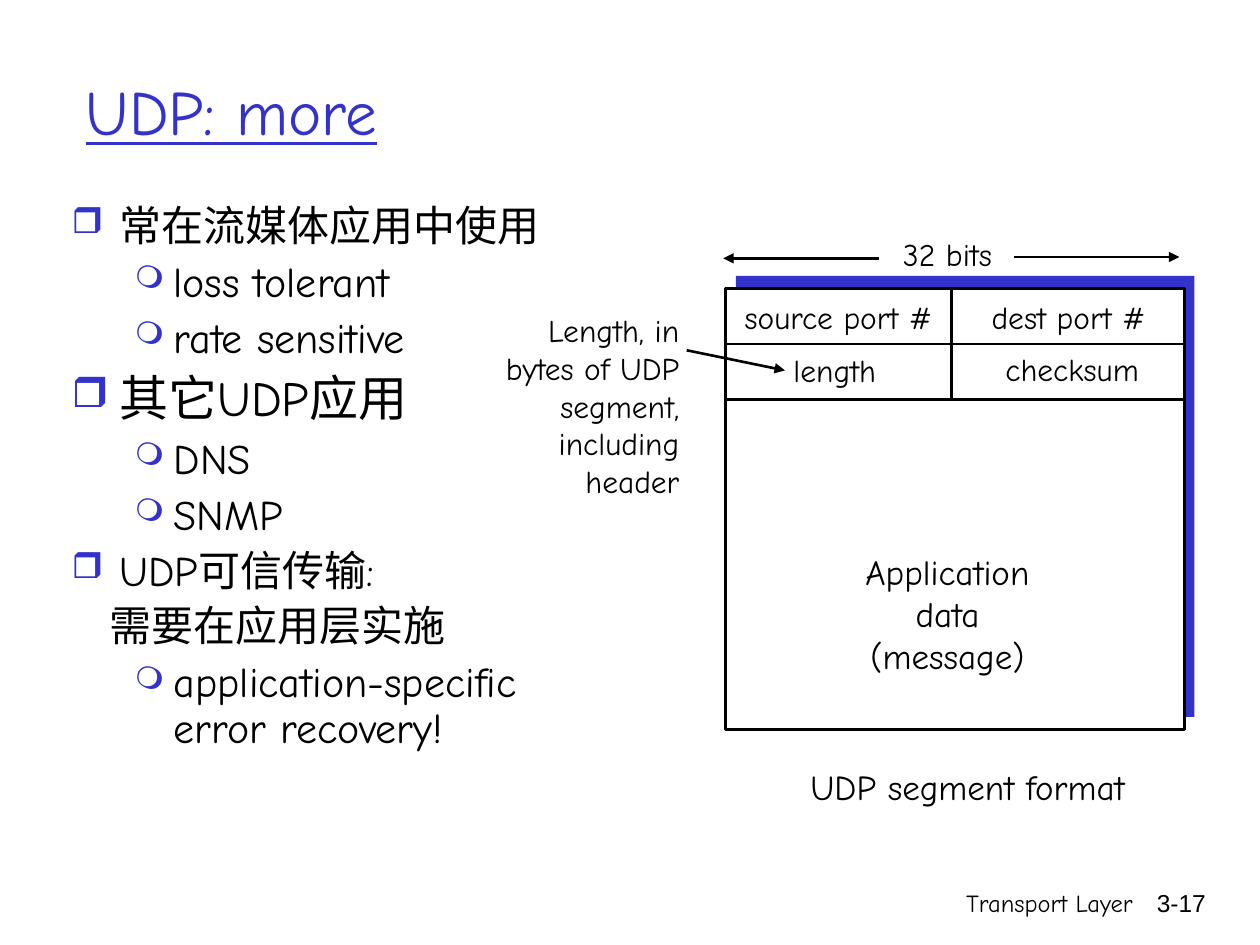
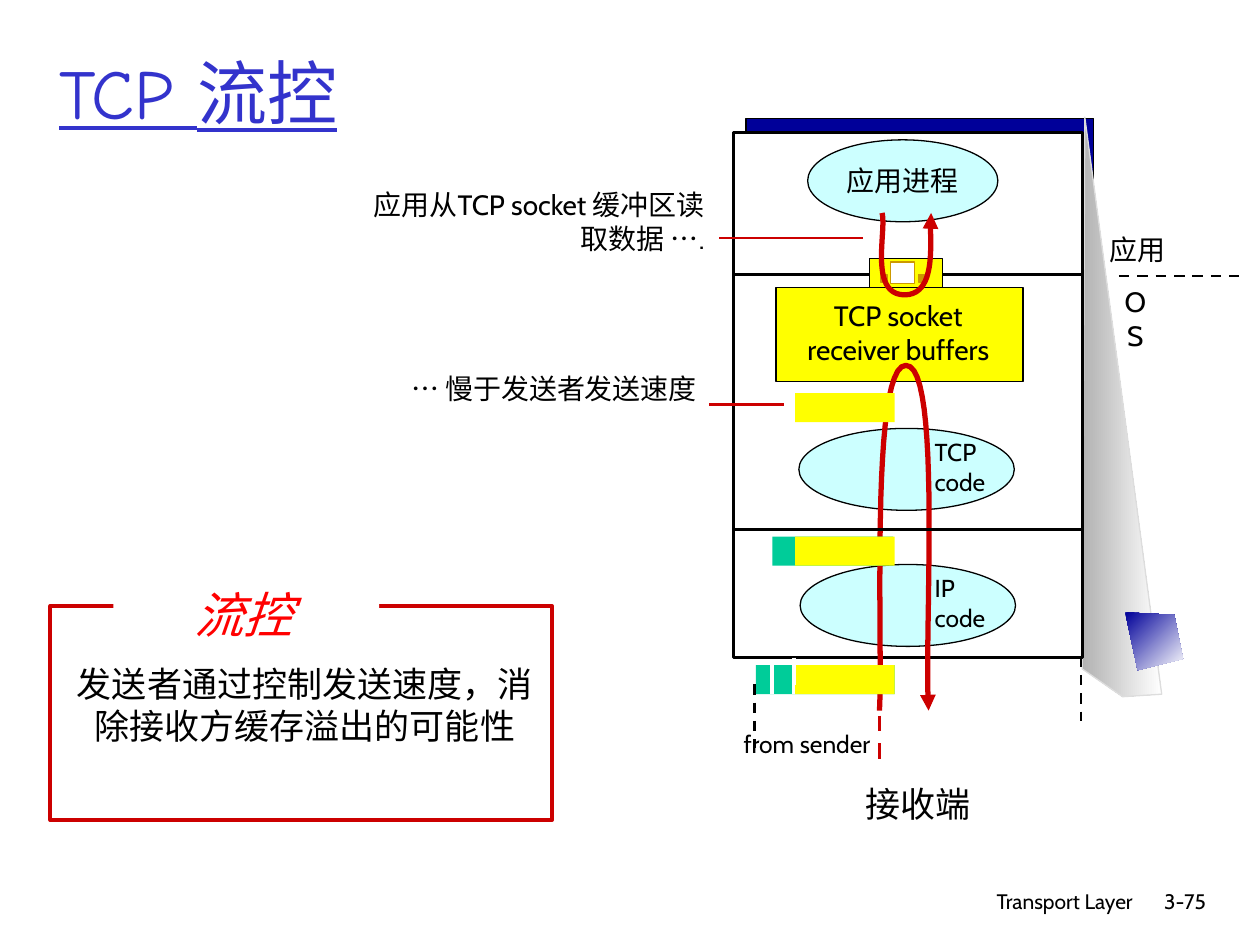
from lxml import etree
from pptx import Presentation
from pptx.dml.color import RGBColor
from pptx.enum.dml import MSO_LINE
from pptx.enum.shapes import MSO_CONNECTOR, MSO_SHAPE
from pptx.enum.text import MSO_ANCHOR, MSO_AUTO_SIZE, PP_ALIGN
from pptx.oxml.ns import qn
from pptx.util import Inches, Pt

# Shared look
BLUE, NAVY, RED, BLACK, WHITE = "3333CC", "000099", "CC0000", "000000", "FFFFFF"
YELLOW, GREEN, AQUA, GOLD = "FFFF00", "00CC99", "CCFFFF", "CC9900"
COMIC, CABIN, ARIAL = "Comic Neue", "Cabin", "Arial"
LEFT, CENTER, RIGHT = PP_ALIGN.LEFT, PP_ALIGN.CENTER, PP_ALIGN.RIGHT
RECT, OVAL = MSO_SHAPE.RECTANGLE, MSO_SHAPE.OVAL

# The slide is a grid of 100 columns by 75 rows
COLS, ROWS = 100, 75
WIDTH, HEIGHT = Inches(10), Inches(7.5)


def grid(*values):
    return [int(v * WIDTH / COLS) for v in values]


def rgb(value):
    return RGBColor.from_string(value)


def style_run(r, color=BLACK, **fmt):
    if "size" in fmt:
        fmt["size"] = Pt(fmt["size"])
    for name, value in fmt.items():
        setattr(r.font, name, value)
    r.font.color.rgb = rgb(color)


def write(tf, content, align=LEFT, **fmt):
    """Fill a text frame, one paragraph a line."""
    for i, line in enumerate(content.split("\n")):
        p = tf.paragraphs[0] if i == 0 else tf.add_paragraph()
        p.alignment = align
        r = p.add_run()
        r.text = line
        style_run(r, **fmt)


def add_text(s, box, content, wrap=False, **fmt):
    tf = s.shapes.add_textbox(*grid(*box)).text_frame
    tf.word_wrap = wrap
    tf.auto_size = MSO_AUTO_SIZE.NONE if wrap else MSO_AUTO_SIZE.SHAPE_TO_FIT_TEXT
    write(tf, content, **fmt)


def set_outline(shape, color, width, dash=False, arrow=False):
    shape.line.color.rgb = rgb(color)
    shape.line.width = Pt(width)
    if dash:
        shape.line.dash_style = MSO_LINE.DASH
    if arrow:
        ln = shape.element.spPr.find(qn("a:ln"))
        etree.SubElement(ln, qn("a:tailEnd"), type="triangle")


def add_block(s, kind, box, fill, line=None, width=0.75):
    shape = s.shapes.add_shape(kind, *grid(*box))
    shape.shadow.inherit = False
    shape.fill.solid()
    shape.fill.fore_color.rgb = rgb(fill)
    if line:
        set_outline(shape, line, width)
    else:
        shape.line.fill.background()
    return shape


def add_line(s, start, end, color=BLACK, width=1.5, **ends):
    line = s.shapes.add_connector(MSO_CONNECTOR.STRAIGHT, *grid(*start, *end))
    set_outline(line, color, width, **ends)
    etree.SubElement(line.element.spPr, qn("a:effectLst"))


def add_outline(s, points, close):
    points = [tuple(grid(*pt)) for pt in points]
    builder = s.shapes.build_freeform(*points[0])
    builder.add_line_segments(points[1:], close=close)
    shape = builder.convert_to_shape()
    shape.shadow.inherit = False
    return shape


def add_gradient(s, points, colors, angle, line=None):
    shape = add_outline(s, points, True)
    shape.fill.gradient()
    shape.fill.gradient_angle = angle
    for stop, color in zip(shape.fill.gradient_stops, colors):
        stop.color.rgb = rgb(color)
    if line:
        set_outline(shape, line, 0.75)
    else:
        shape.line.fill.background()


def add_flow(s, points, steps=24):
    """Red arrow along joined cubic curves: a start, then three points each."""
    path = [points[0]]
    for i in range(0, len(points) - 1, 3):
        a, b, c, d = points[i:i + 4]
        for n in range(1, steps + 1):
            t = n / steps
            weights = ((1 - t) ** 3, 3 * t * (1 - t) ** 2, 3 * t * t * (1 - t), t ** 3)
            path.append([sum(w * pt[k] for w, pt in zip(weights, (a, b, c, d)))
                         for k in (0, 1)])
    shape = add_outline(s, path, False)
    shape.fill.background()
    set_outline(shape, RED, 3, arrow=True)


def add_slide(prs, title, box, size, number, footer_fonts, footer_size):
    """Title-only slide with the shared title style and footer."""
    s = prs.slides.add_slide(prs.slide_layouts[5])
    sp = s.shapes.title
    sp.left, sp.top, sp.width, sp.height = grid(*box)
    tf = sp.text_frame
    tf.auto_size, tf.word_wrap = MSO_AUTO_SIZE.NONE, True
    tf.vertical_anchor = MSO_ANCHOR.MIDDLE
    write(tf, title, size=size, name=COMIC, color=BLUE, underline=True)
    footer = ((59.2, 31.7, "Transport Layer"), (89.3, 7.4, number))
    for (left, width, content), font in zip(footer, footer_fonts):
        add_text(s, (left, 70, width, 5), content, wrap=True,
                 align=RIGHT, size=footer_size, name=font)
    return s


def add_bullets(s, box, items):
    """Items are (level, text, size); level None continues without a bullet."""
    marks = {0: ("❒", 85, 0.38, -0.38), 1: ("❍", 75, 0.81, -0.31),
             None: (None, 0, 0.3, 0)}
    tf = s.shapes.add_textbox(*grid(*box)).text_frame
    tf.word_wrap = True
    for i, (level, content, size) in enumerate(items):
        p = tf.add_paragraph() if i else tf.paragraphs[0]
        mark, percent, margin, indent = marks[level]
        p.level = level or 0
        p.line_spacing = 0.9
        p.space_before = Pt(size / 4 if i else 0)
        pPr = p._p.get_or_add_pPr()
        pPr.set("marL", str(Inches(margin)))
        pPr.set("indent", str(Inches(indent)))
        if mark:
            color = etree.SubElement(pPr, qn("a:buClr"))
            etree.SubElement(color, qn("a:srgbClr"), val=BLUE)
            etree.SubElement(pPr, qn("a:buSzPct"), val=str(percent * 1000))
            etree.SubElement(pPr, qn("a:buChar"), char=mark)
        else:
            etree.SubElement(pPr, qn("a:buNone"))
        r = p.add_run()
        r.text = content
        style_run(r, size=size, name=COMIC)


def udp_slide(prs):
    s = add_slide(prs, "UDP: more", (5.8, 2.5, 91.2, 12.5), 36, "3-17", (COMIC, ARIAL), 14)
    add_bullets(s, (4.7, 15.8, 41.7, 50.8), [
        (0, "常在流媒体应用中使用", 24),
        (1, "loss tolerant", 24),
        (1, "rate sensitive", 24),
        (0, "其它UDP应用", 28),
        (1, "DNS", 24),
        (1, "SNMP", 24),
        (0, "UDP可信传输:", 24),
        (None, "需要在应用层实施", 24),
        (1, "application-specific error recovery!", 24)])

    # Segment with its header rows
    left, top, width, height, row = 57.6, 22.9, 36.4, 35, 4.4
    middle = 75.5
    add_block(s, RECT, (left + 0.8, top - 1, width, height), BLUE)
    add_block(s, RECT, (left, top, width, height), WHITE, BLACK, 1.5)
    for n in (1, 2):
        y = top + n * row
        add_line(s, (left, y), (left + width, y))
        add_line(s, (middle, y - row), (middle, y))

    # Labels
    for box, content, size in [
            ((58.1, 23.2, 16.9, 4), "source port #", 18),
            ((77.7, 23.2, 14.2, 4), "dest port #", 18),
            ((61, 27.4, 10.5, 4), "length", 18),
            ((78.8, 27.3, 12.6, 4), "checksum", 18),
            ((69.7, 18.2, 11, 4), "32 bits", 18),
            ((67.7, 43.2, 15, 11), "Application\ndata\n(message)", 20),
            ((63.3, 60.3, 27, 4.4), "UDP segment format", 20)]:
        add_text(s, box, content, align=CENTER, size=size, name=COMIC)
    add_text(s, (39.1, 24.2, 15.8, 16),
             "Length, in\nbytes of UDP\nsegment,\nincluding\nheader",
             align=RIGHT, size=18, name=COMIC)

    # Arrows
    for start, end in [((80.5, 20.4), (93.6, 20.4)),
                       ((69.8, 20.5), (57.4, 20.5)),
                       ((54.5, 27.8), (62.3, 29.4))]:
        add_line(s, start, end, arrow=True)


def draw_receiver(s):
    # Host box with its side and shadow
    add_block(s, RECT, (59.2, 9.4, 27.6, 42.2), NAVY, BLACK)
    add_gradient(s, [(92.2, 55.1), (86.1, 9.3), (85.9, 53.1), (89.1, 55.3)],
                 ("B2B2B2", WHITE), 0, "DDDDDD")
    add_block(s, RECT, (58.2, 10.5, 27.7, 41.7), WHITE, BLACK, 1.5)

    # Process, buffers and protocol code
    process = add_block(s, OVAL, (64.1, 11.1, 15.1, 6.5), AQUA, BLACK)
    process.text_frame.word_wrap = False
    process.text_frame.vertical_anchor = MSO_ANCHOR.MIDDLE
    write(process.text_frame, "应用进程", align=CENTER, size=16, name=ARIAL)
    add_block(s, RECT, (61.6, 22.8, 19.6, 7.5), YELLOW, BLACK)
    add_text(s, (62.1, 23.2, 18.4, 6.4), "TCP socket\nreceiver buffers",
             align=CENTER, size=16, name=CABIN)
    for left, top, protocol in ((63.4, 34, "TCP"), (63.5, 44.8, "IP")):
        add_block(s, OVAL, (left, top, 17.1, 6.5), AQUA, BLACK)
        add_text(s, (73.2, top + 0.2, 6.4, 5.7), protocol + "\ncode", size=14, name=CABIN)

    # Flow through the layers, layer borders and socket
    add_flow(s, [(69.8, 56.4), (70.1, 51.8), (69, 29), (71.9, 29),
                 (74.8, 29), (73.3, 50.7), (73.7, 56.4)])
    for y in (42, 21.8):
        add_line(s, (58.2, y), (86, y))
    add_block(s, RECT, (69, 20.5, 5.8, 2.3), YELLOW, BLACK)
    add_block(s, RECT, (70.7, 20.8, 1.9, 1.7), WHITE, GOLD)
    for x in (72.9, 69.9):
        add_block(s, RECT, (x, 21.8, 0.5, 0.6), GOLD, GOLD)
    add_flow(s, [(70, 16.9), (70.4, 18.2), (68.9, 23.4), (71.8, 23.4),
                 (74.7, 23.4), (73.6, 18), (73.9, 16.9)])

    # Packets: green headers, yellow data
    add_block(s, RECT, (60, 52.8, 11, 2.3), GREEN)
    for x in (61.3, 63):
        add_line(s, (x, 52.8), (x, 55.1), WHITE, 2.25)
    add_block(s, RECT, (61.3, 42.6, 9.6, 2.3), GREEN)
    for y in (31.2, 42.6, 52.8):
        add_block(s, RECT, (63.1, y, 7.9, 2.3), YELLOW)


def flow_control_slide(prs):
    s = add_slide(prs, "TCP 流控", (3.7, 1.9, 85, 10.7), 40, "3-75", (CABIN, CABIN), 12)
    draw_receiver(s)

    # Labels around the host
    for box, content, size, align, wrap in [
            ((86.1, 18, 8.4, 3.7), "应用", 16, CENTER, False),
            ((88, 22.1, 4.2, 6.4), "OS", 16, CENTER, True),
            ((65.7, 61.6, 14.3, 4.4), "接收端", 20, CENTER, False),
            ((57.4, 57.4, 13.3, 3.4), "from sender", 14, CENTER, False),
            ((28.6, 14.4, 28.3, 6.4), "应用从TCP socket 缓冲区读取数据 ….", 16, RIGHT, True),
            ((31.6, 29, 24.7, 3.7), "… 慢于发送者发送速度", 16, RIGHT, True)]:
        add_text(s, box, content, wrap, align=align, size=size, name=CABIN)

    # Pointers and dashed guides
    add_line(s, (57.1, 18.9), (68.5, 18.9), RED)
    add_line(s, (56.3, 32.1), (62.2, 32.1), RED)
    add_line(s, (69.8, 56.8), (69.8, 60.6), RED, 2.25, dash=True)
    add_line(s, (63, 52.2), (63, 54.4), WHITE, 2.25)
    for start, end in [((88.8, 21.9), (98.3, 21.9)),
                       ((59.9, 54.3), (59.9, 59.4)),
                       ((85.8, 52.1), (85.8, 57.2))]:
        add_line(s, start, end, dash=True)

    # Definition box
    add_block(s, RECT, (4, 48.1, 39.8, 17), WHITE, RED, 2.25)
    add_text(s, (5, 52.1, 38.4, 7.7), "发送者通过控制发送速度，消除接收方缓存溢出的可能性",
             wrap=True, align=CENTER, size=20, name=CABIN)
    add_block(s, RECT, (9, 46.9, 21.1, 3.9), WHITE)
    add_text(s, (12.5, 45.9, 13.7, 5.7), "流控", align=CENTER, size=28,
             name=CABIN, color="FF0000", italic=True)

    # Tilted tile
    add_gradient(s, [(89.3, 48.6), (93.2, 48.8), (93.9, 52.3), (90.3, 53.2)],
                 (NAVY, WHITE), 315)


def main():
    prs = Presentation()
    prs.slide_width, prs.slide_height = WIDTH, HEIGHT
    udp_slide(prs)
    flow_control_slide(prs)
    prs.save("out.pptx")


if __name__ == "__main__":
    main()
